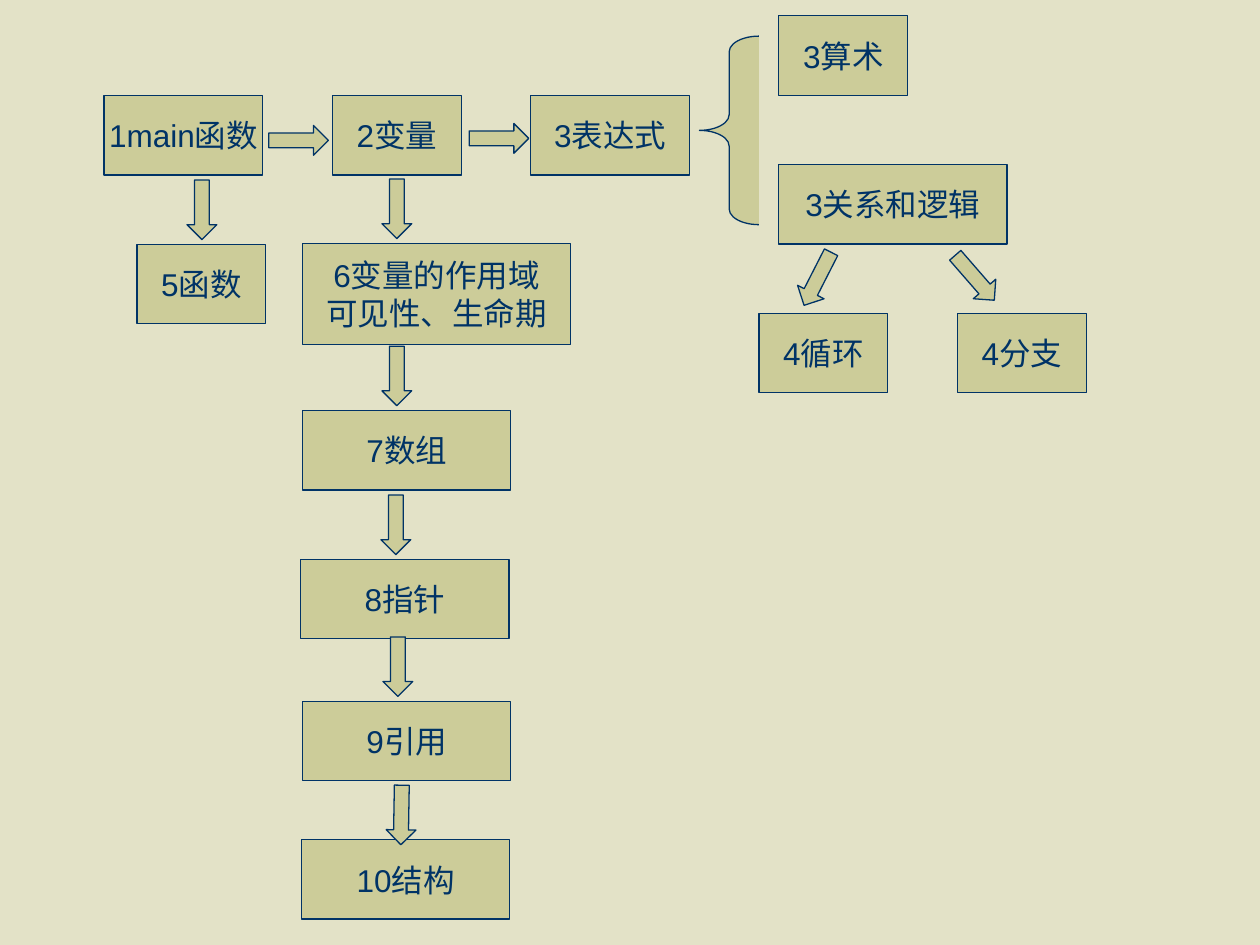
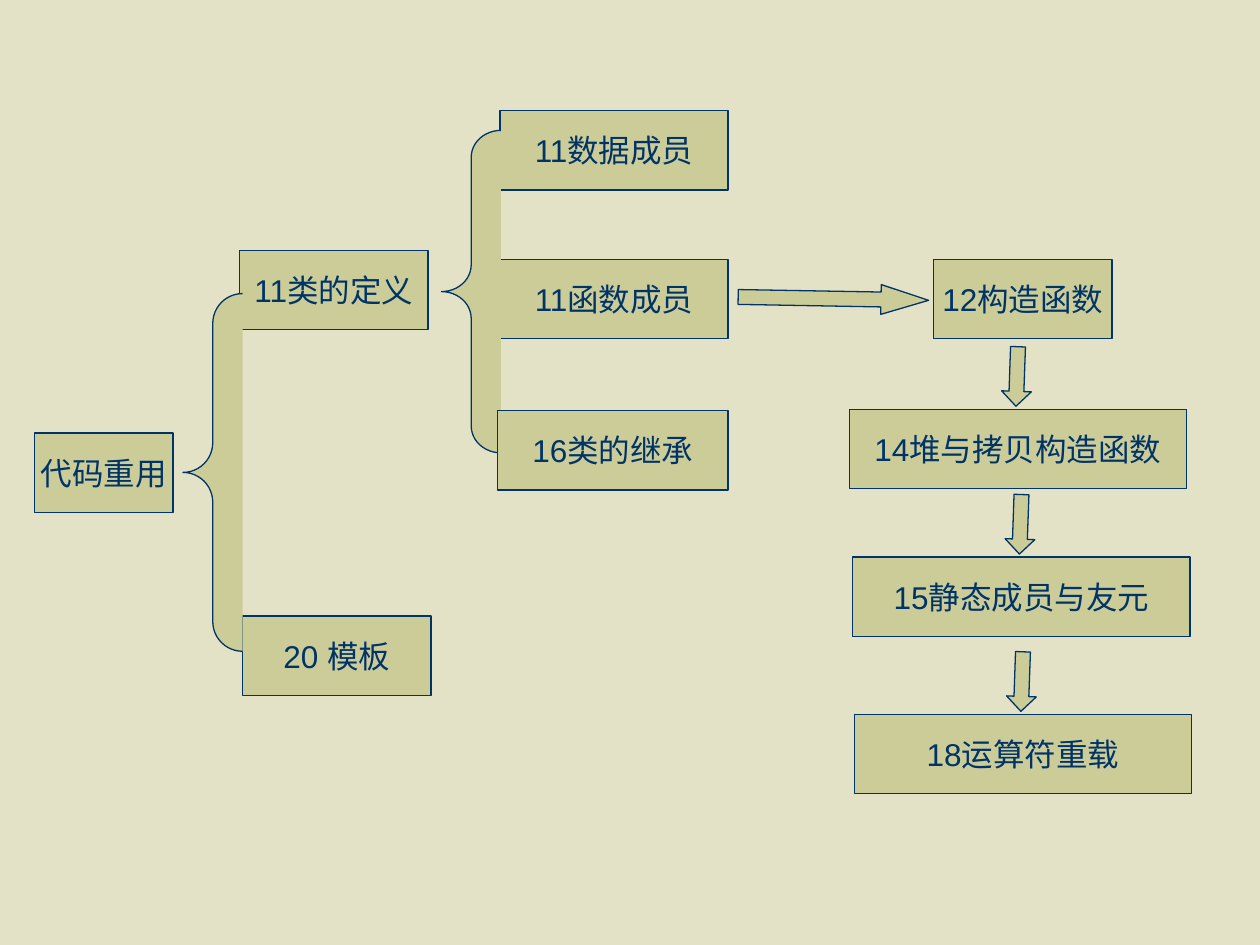
from pptx import Presentation
from pptx.dml.color import RGBColor
from pptx.enum.shapes import MSO_SHAPE
from pptx.enum.text import MSO_ANCHOR, PP_ALIGN
from pptx.util import Cm, Pt

PAPER = RGBColor(0xE3, 0xE2, 0xC7)
KHAKI = RGBColor(0xCC, 0xCC, 0x99)
NAVY = RGBColor(0x00, 0x33, 0x66)

TOPIC_HEIGHT = 1.6
ARROW_LENGTH, ARROW_HEIGHT = 1.2, 0.6
BRACE_WIDTH = 1.2
DOWN = 90


def add_outlined(shapes, preset, left, top, width, height):
    shape = shapes.add_shape(preset, Cm(left), Cm(top), Cm(width), Cm(height))
    shape.shadow.inherit = False
    shape.fill.solid()
    shape.fill.fore_color.rgb = KHAKI
    shape.line.color.rgb = NAVY
    shape.line.width = Pt(0.75)
    return shape


def add_topic(shapes, left, top, width, label, height=TOPIC_HEIGHT):
    topic = add_outlined(shapes, MSO_SHAPE.RECTANGLE, left, top, width, height)
    frame = topic.text_frame
    frame.word_wrap = False
    frame.vertical_anchor = MSO_ANCHOR.MIDDLE
    frame.text = label
    for paragraph in frame.paragraphs:
        paragraph.alignment = PP_ALIGN.CENTER
        paragraph.font.name = "Arial"
        paragraph.font.size = Pt(18)
        paragraph.font.color.rgb = NAVY


def add_arrow(shapes, center_x, center_y, turn, length=ARROW_LENGTH, head=0.5):
    arrow = add_outlined(shapes, MSO_SHAPE.RIGHT_ARROW, center_x - length / 2,
                         center_y - ARROW_HEIGHT / 2, length, ARROW_HEIGHT)
    arrow.adjustments[1] = head
    arrow.rotation = turn


def add_brace(shapes, left, top, height):
    brace = add_outlined(shapes, MSO_SHAPE.LEFT_BRACE, left, top, BRACE_WIDTH, height)
    brace.adjustments[0] = height / 12 / BRACE_WIDTH


def add_step(shapes, left, top, width, label, arrow_dx, arrow_dy, turn=DOWN,
             height=TOPIC_HEIGHT, **arrow_options):
    """Group a topic with the arrow leading to it, centred at an offset from its corner."""
    step = shapes.add_group_shape().shapes
    add_topic(step, left, top, width, label, height)
    add_arrow(step, left + arrow_dx, top + arrow_dy, turn, **arrow_options)


def add_basics_row(shapes, left, top):
    add_topic(shapes, left, top, 3.2, "1main函数")
    add_step(shapes, left + 4.6, top, 2.6, "2变量", -0.68, 0.9, turn=0)
    add_step(shapes, left + 8.6, top, 3.2, "3表达式", -0.64, 0.86, turn=0)
    add_step(shapes, left + 0.66, top + 3, 2.6, "5函数", 1.31, -0.7)


def add_expression_branch(shapes, left, top):
    add_step(shapes, left + 5.2, top + 6, 2.6, "4分支", 0.35, -0.72, turn=49)
    add_step(shapes, left + 1.2, top + 6, 2.6, "4循环", 1.18, -0.7, turn=117)
    kinds = shapes.add_group_shape().shapes
    add_topic(kinds, left + 1.6, top, 2.6, "3算术")
    add_topic(kinds, left + 1.6, top + 3, 4.6, "3关系和逻辑")
    add_brace(kinds, left, top + 0.41, 3.8)


def add_variable_chain(shapes, left, top):
    add_step(shapes, left, top, 5.4, "6变量的作用域\n可见性、生命期", 1.9, -0.7, height=2.03)
    add_step(shapes, left, top + 3.37, 4.2, "7数组", 1.9, -0.7)
    add_step(shapes, left - 0.04, top + 6.37, 4.2, "8指针", 1.92, -0.7)
    add_step(shapes, left, top + 9.23, 4.2, "9引用", 1.92, -0.7)
    add_step(shapes, left - 0.02, top + 12.02, 4.2, "10结构", 2.01, -0.5, turn=91)


def add_class_members(shapes, left, top):
    add_topic(shapes, left, top + 2.82, 3.8, "11类的定义")
    add_topic(shapes, left + 5.25, top, 4.6, "11数据成员")
    add_topic(shapes, left + 5.25, top + 3, 4.6, "11函数成员")
    add_brace(shapes, left + 4.07, top + 0.4, 6.5)
    add_topic(shapes, left + 5.2, top + 6.05, 4.65, "16类的继承")


def add_constructor_chain(shapes, left, top):
    add_step(shapes, left + 1.7, top, 3.6, "12构造函数", -2.02, 0.79,
             turn=1, length=3.84, head=1.6)
    later_topics = [
        (0, 3.02, "14堆与拷贝构造函数"),
        (0.07, 6, "15静态成员与友元"),
        (0.1, 9.17, "18运算符重载"),
    ]
    for shift, drop, label in later_topics:
        add_step(shapes, left + shift, top + drop, 6.8, label, 3.38, -0.66, turn=92)


def add_reuse_branch(shapes, left, top):
    add_topic(shapes, left + 4.2, top + 6.5, 3.8, "20 模板")
    add_brace(shapes, left + 3, top, 7.21)
    add_topic(shapes, left, top + 2.81, 2.8, "代码重用")


def main():
    deck = Presentation()
    deck.slide_width, deck.slide_height = Cm(25.4), Cm(19.05)
    background = deck.slide_master.background.fill
    background.solid()
    background.fore_color.rgb = PAPER
    blank = deck.slide_layouts[6]

    procedural = deck.slides.add_slide(blank).shapes
    add_basics_row(procedural, 2.1, 1.93)
    add_expression_branch(procedural, 14.1, 0.32)
    add_variable_chain(procedural, 6.1, 4.91)

    object_oriented = deck.slides.add_slide(blank).shapes
    add_class_members(object_oriented, 4.83, 2.23)
    add_constructor_chain(object_oriented, 17.12, 5.23)
    add_reuse_branch(object_oriented, 0.69, 5.92)

    deck.save("out.pptx")


if __name__ == "__main__":
    main()
